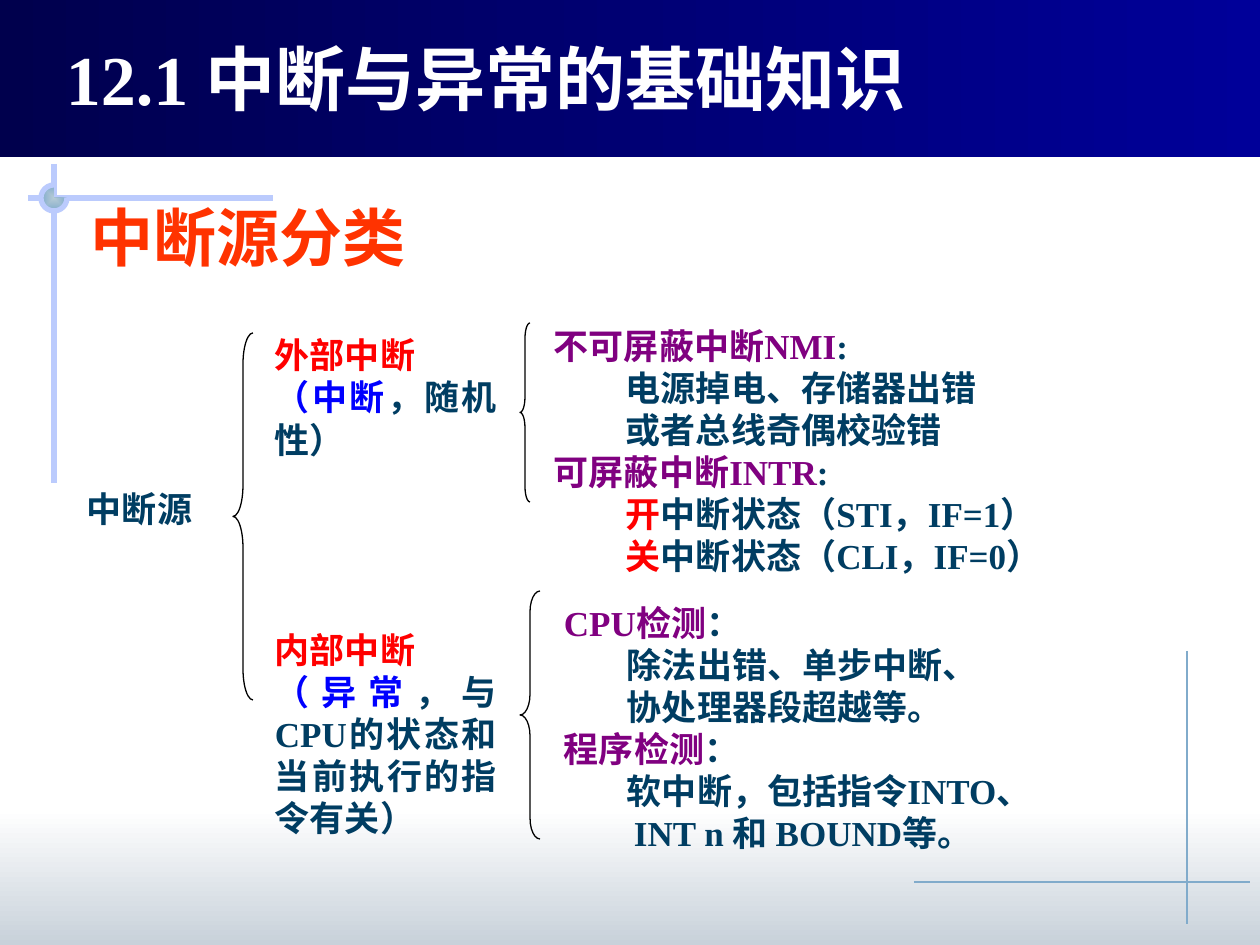
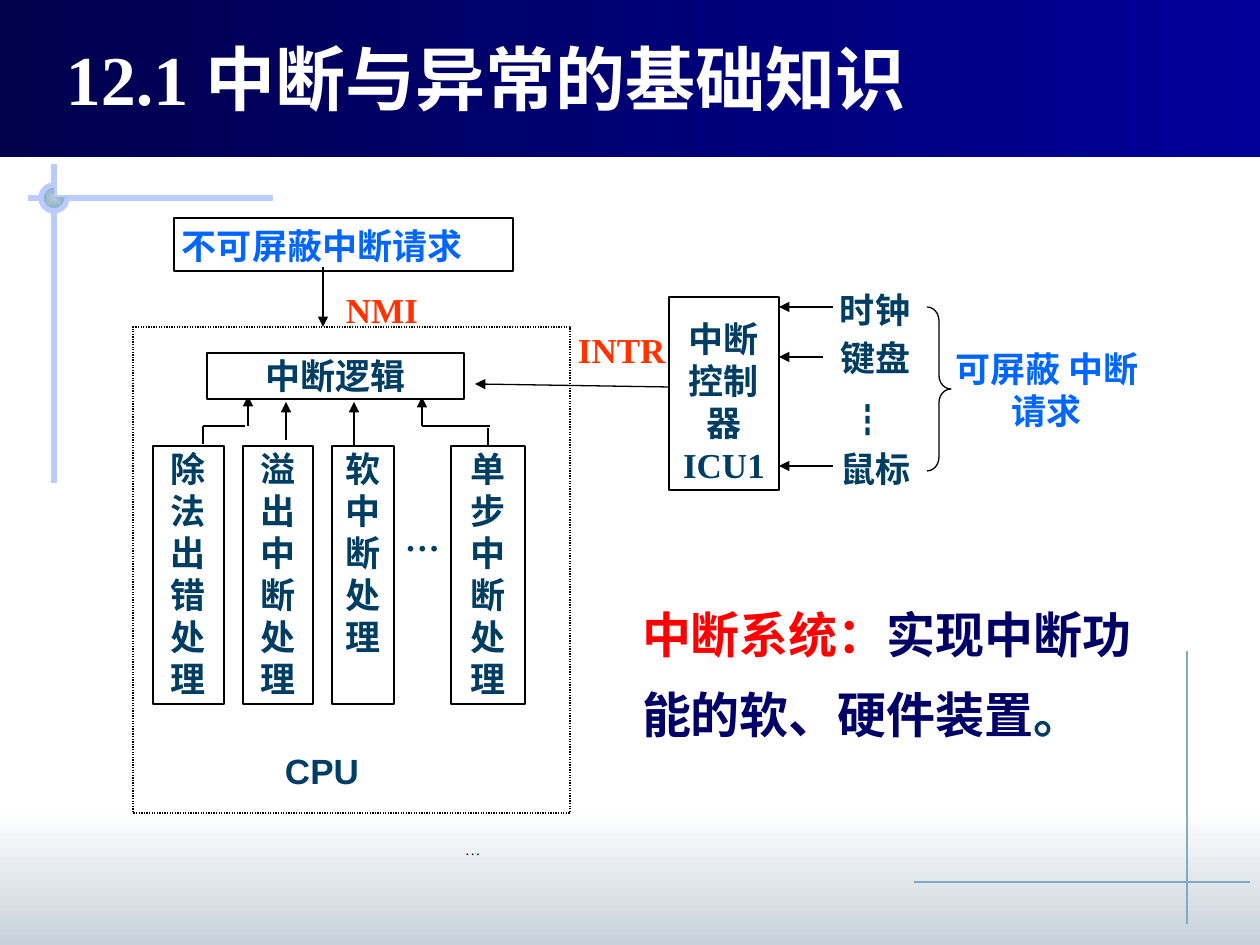
from dataclasses import dataclass

from lxml.etree import SubElement
from pptx import Presentation
from pptx.dml.color import RGBColor
from pptx.enum.dml import MSO_LINE
from pptx.enum.shapes import MSO_CONNECTOR, MSO_SHAPE as Shape
from pptx.enum.text import MSO_ANCHOR as Anchor, MSO_AUTO_SIZE as AutoSize, PP_ALIGN as Align
from pptx.oxml.ns import qn
from pptx.util import Emu, Pt

PX = 914400 / 126


@dataclass(frozen=True)
class Theme:
    """Colours, fonts and type sizes of the deck."""
    ink: str = "003D62"
    black: str = "000000"
    white: str = "FFFFFF"
    red: str = "FF0000"
    orange: str = "FF3300"
    blue: str = "0000FF"
    azure: str = "0066FF"
    navy: str = "000066"
    purple: str = "800080"
    thin_rule: str = "81ABCB"
    thick_rule: str = "BBCBFD"
    header: tuple = ("00004D", "000099")
    footer: tuple = ("FFFFFF", "C8D1DA")
    knob: tuple = ("B6CBD6", "81ABCB")
    serif: str = "Times New Roman"
    sans: str = "Arial"
    cjk: str = "Noto Sans CJK SC"
    heading_font: str = "Noto Sans CJK JP"
    tiny: int = 9
    body: int = 20
    statement: int = 28
    heading: int = 36
    title: int = 40
    leading: float = 1.2


THEME = Theme()


@dataclass
class Para:
    """A paragraph of (text, colour) spans with its indent in px and space before in points."""
    spans: list
    indent: int = 0
    before: int = 0


def px(length):
    """Turn px into EMU."""
    return Emu(round(length * PX))


def rgb(colour):
    """Turn a hex string into a colour."""
    return RGBColor.from_string(colour)


def plain(text, colour=THEME.ink, indent=0):
    """Make a paragraph of one colour."""
    return Para([(text, colour)], indent)


def write(frame, paras, size=THEME.body, font=THEME.serif, align=Align.LEFT, stretch=1,
          bold=True, inset=(3, 1), anchor=Anchor.TOP, wrap=True):
    """Fill a text frame with paragraphs and format them."""
    frame.auto_size = AutoSize.NONE
    frame.word_wrap = wrap
    frame.vertical_anchor = anchor
    frame.margin_left = frame.margin_right = px(inset[0])
    frame.margin_top = frame.margin_bottom = px(inset[1])
    for index, para in enumerate(paras):
        paragraph = frame.add_paragraph() if index else frame.paragraphs[0]
        paragraph.alignment = align
        paragraph.line_spacing = Pt(round(size * THEME.leading * stretch, 1))
        paragraph.space_before = Pt(para.before)
        if para.indent:
            paragraph._p.get_or_add_pPr().set("marL", str(px(para.indent)))
        for text, colour in para.spans:
            run = paragraph.add_run()
            run.text = text
            run.font.size = Pt(size)
            run.font.bold = bold
            run.font.name = font
            run.font.color.rgb = rgb(colour)
            east_asian = font if "CJK" in font else THEME.cjk
            SubElement(run.font._element, qn("a:ea"), typeface=east_asian)


def add_text(page, area, paras, **style):
    """Add a text box; a bare string becomes one paragraph."""
    box = page.shapes.add_textbox(*map(px, area))
    write(box.text_frame, [plain(paras)] if isinstance(paras, str) else paras, **style)


def add_outline(page, kind, area, colour=THEME.black, width=0.75):
    """Add an unfilled preset shape with a line."""
    shape = page.shapes.add_shape(kind, *map(px, area))
    shape.shadow.inherit = False
    shape.fill.background()
    shape.line.color.rgb = rgb(colour)
    shape.line.width = Pt(width)
    return shape


def add_brace(page, kind, area, curve):
    """Add a curly brace."""
    add_outline(page, kind, area).adjustments[0] = curve


def add_box(page, area, paras=(), **style):
    """Add a white rectangle with a black line and text."""
    box = add_outline(page, Shape.RECTANGLE, area)
    box.fill.solid()
    box.fill.fore_color.rgb = rgb(THEME.white)
    write(box.text_frame, paras, **style)
    return box


def add_gradient(page, kind, area, colours, angle=0):
    """Add a shape with a two-colour gradient and no line."""
    shape = add_outline(page, kind, area)
    shape.line.fill.background()
    shape.fill.gradient()
    shape.fill.gradient_angle = angle
    for stop, colour in zip(shape.fill.gradient_stops, colours):
        stop.color.rgb = rgb(colour)
    return shape


def add_line(page, start, end, colour=THEME.black, width=0.75, arrow=False):
    """Add a straight line, with an arrowhead at its end if asked."""
    line = page.shapes.add_connector(MSO_CONNECTOR.STRAIGHT, *map(px, start + end))
    line.line.color.rgb = rgb(colour)
    line.line.width = Pt(width)
    if arrow:
        SubElement(line.line._get_or_add_ln(), qn("a:tailEnd"), type="triangle")
    SubElement(line._element.spPr, qn("a:effectLst"))
    return line


def add_knob(page, area):
    """Add the three-quarter disc where the thick rules cross."""
    disc = add_gradient(page, Shape.PIE, area, THEME.knob)
    gradient = disc._element.spPr.find(qn("a:gradFill"))
    gradient.remove(gradient.find(qn("a:lin")))
    radial = SubElement(gradient, qn("a:path"), path="shape")
    SubElement(radial, qn("a:fillToRect"), l="50000", t="50000", r="50000", b="50000")
    ring = add_outline(page, Shape.ARC, area, THEME.thick_rule, 3)
    ring.adjustments[0], ring.adjustments[1] = 0, 162


def decorate(layout, page):
    """Draw the shared bands and rules and hand them to the layout."""
    for holder in list(layout.placeholders)[1:]:
        layout.shapes.element.remove(holder.element)
    add_gradient(page, Shape.RECTANGLE, (0, 809, 1260, 136), THEME.footer, 270)
    add_line(page, (1187, 651), (1187, 924), THEME.thin_rule)
    add_line(page, (273, 198), (28, 198), THEME.thick_rule, 3)
    add_line(page, (54, 164), (54, 483), THEME.thick_rule, 3)
    add_knob(page, (41, 185, 26, 26))
    header = add_gradient(page, Shape.RECTANGLE, (0, 0, 1260, 157), THEME.header)
    header.line.color.rgb = rgb(THEME.ink)
    add_line(page, (914, 882), (1250, 882), THEME.thin_rule)
    for shape in list(page.shapes):
        if not shape.is_placeholder:
            layout.shapes.element.append(shape.element)


def set_title(page, text):
    """Place and format the title."""
    title = page.shapes.title
    title.left, title.top, title.width, title.height = map(px, (53, 35, 994, 91))
    write(title.text_frame, [plain(text, THEME.white)], size=THEME.title,
          inset=(13, 6), anchor=Anchor.BOTTOM)


def build_sources(page):
    """Draw the tree of interrupt sources."""
    add_brace(page, Shape.LEFT_BRACE, (233, 333, 20, 367), 1.56)
    add_brace(page, Shape.LEFT_BRACE, (520, 323, 10, 179), 1.51)
    add_brace(page, Shape.LEFT_BRACE, (520, 591, 20, 248), 1.04)
    add_text(page, (272, 333, 228, 377), [
        plain("外部中断", THEME.red),
        Para([("（中断", THEME.blue), ("，随机性）", THEME.ink)]),
        Para([("内部中断", THEME.red)], before=96),
        Para([("（异常", THEME.blue), ("，与CPU的状态和当前执行的指令有关）", THEME.ink)]),
    ], align=Align.JUSTIFY)
    add_text(page, (551, 323, 595, 256), [
        Para([("不可屏蔽中断NMI", THEME.purple), (":", THEME.ink)]),
        plain("电源掉电、存储器出错", indent=72),
        plain("或者总线奇偶校验错", indent=72),
        Para([("可屏蔽中断INTR", THEME.purple), (":", THEME.ink)]),
        Para([("开", THEME.red), ("中断状态（STI，IF=1）", THEME.ink)], 72),
        Para([("关", THEME.red), ("中断状态（CLI，IF=0）", THEME.ink)], 72),
    ], align=Align.JUSTIFY)
    add_text(page, (561, 600, 504, 270), [
        Para([("CPU检测", THEME.purple), ("：", THEME.ink)]),
        plain("除法出错、单步中断、", indent=63),
        plain("协处理器段超越等。", indent=63),
        Para([("程序检测", THEME.purple), ("：", THEME.ink)]),
        plain("软中断，包括指令INTO、", indent=63),
        plain("INT n 和 BOUND等。", indent=70),
    ], align=Align.JUSTIFY)
    add_text(page, (74, 481, 139, 54), "中断源", font=THEME.sans, inset=(13, 6))
    add_text(page, (78, 193, 344, 89), [plain("中断源分类", THEME.orange)],
             size=THEME.heading, font=THEME.heading_font, inset=(13, 6), wrap=False)


def build_processor(page):
    """Draw the processor with its logic and handlers."""
    add_text(page, (462, 839, 35, 24), "…", size=THEME.tiny, bold=False)
    processor = add_box(page, (133, 327, 437, 486))
    processor.line.dash_style = MSO_LINE.ROUND_DOT
    handlers = [(153, 71, "除法出错处理"), (243, 70, "溢出中断处理"),
                (332, 62, "软中断处理"), (451, 74, "单步中断处理")]
    for left, width, name in handlers:
        handler = add_box(page, (left, 446, width, 258), [plain(name)], align=Align.CENTER)
    add_line(page, (488, 428), (488, 446)).end_connect(handler, 0)
    add_line(page, (422, 426), (490, 426))
    add_line(page, (203, 426), (203, 444))
    add_line(page, (203, 426), (245, 426))
    for x, bottom, top in [(248, 426, 396), (286, 440, 402), (354, 446, 402), (422, 426, 397)]:
        add_line(page, (x, bottom), (x, top), arrow=True)
    add_box(page, (207, 353, 257, 46), [plain("中断逻辑")], align=Align.CENTER)
    add_text(page, (402, 515, 44, 29), "…")
    add_text(page, (272, 743, 118, 54), "CPU", font=THEME.sans, inset=(13, 6))


def build_requests(page):
    """Draw the request lines, the controller and its devices."""
    add_box(page, (174, 218, 339, 53), [plain("不可屏蔽中断请求", THEME.azure)],
            inset=(8, 1), stretch=1.12)
    add_line(page, (323, 267), (323, 327), arrow=True)
    add_text(page, (343, 287, 106, 33), [plain("NMI", THEME.orange)])
    add_text(page, (575, 327, 115, 55), [plain("INTR", THEME.orange)])
    add_box(page, (669, 297, 110, 193), [plain("中断 控制器ICU1")],
            align=Align.CENTER, inset=(3, 20))
    add_line(page, (669, 387), (475, 384), arrow=True)
    devices = [("时钟", 837, 287, 833, 307), ("键盘", 838, 336, 823, 357),
               ("鼠标", 838, 446, 833, 466)]
    for name, left, top, start, level in devices:
        add_text(page, (left, top, 110, 46), name)
        add_line(page, (start, level), (779, level), arrow=True)
    add_text(page, (848, 397, 44, 44), "┇", font=THEME.cjk)
    add_brace(page, Shape.RIGHT_BRACE, (927, 307, 24, 164), 0.57)
    add_text(page, (948, 347, 198, 100), [plain("可屏蔽 中断请求", THEME.azure)],
             align=Align.CENTER)
    add_text(page, (642, 578, 520, 161), [
        Para([("中断系统：", THEME.red), ("实现中断功能的软、硬件装置", THEME.navy),
              ("。", THEME.ink)]),
    ], size=THEME.statement, font=THEME.cjk, inset=(0, 6), stretch=1.35)


def main():
    """Build and save the deck."""
    deck = Presentation()
    deck.slide_width, deck.slide_height = px(1260), px(945)
    layout = deck.slide_layouts[5]
    pages = [deck.slides.add_slide(layout) for _ in range(2)]
    decorate(layout, pages[0])
    for page in pages:
        set_title(page, "12.1 中断与异常的基础知识")
    build_sources(pages[0])
    build_processor(pages[1])
    build_requests(pages[1])
    deck.save("out.pptx")


if __name__ == "__main__":
    main()
